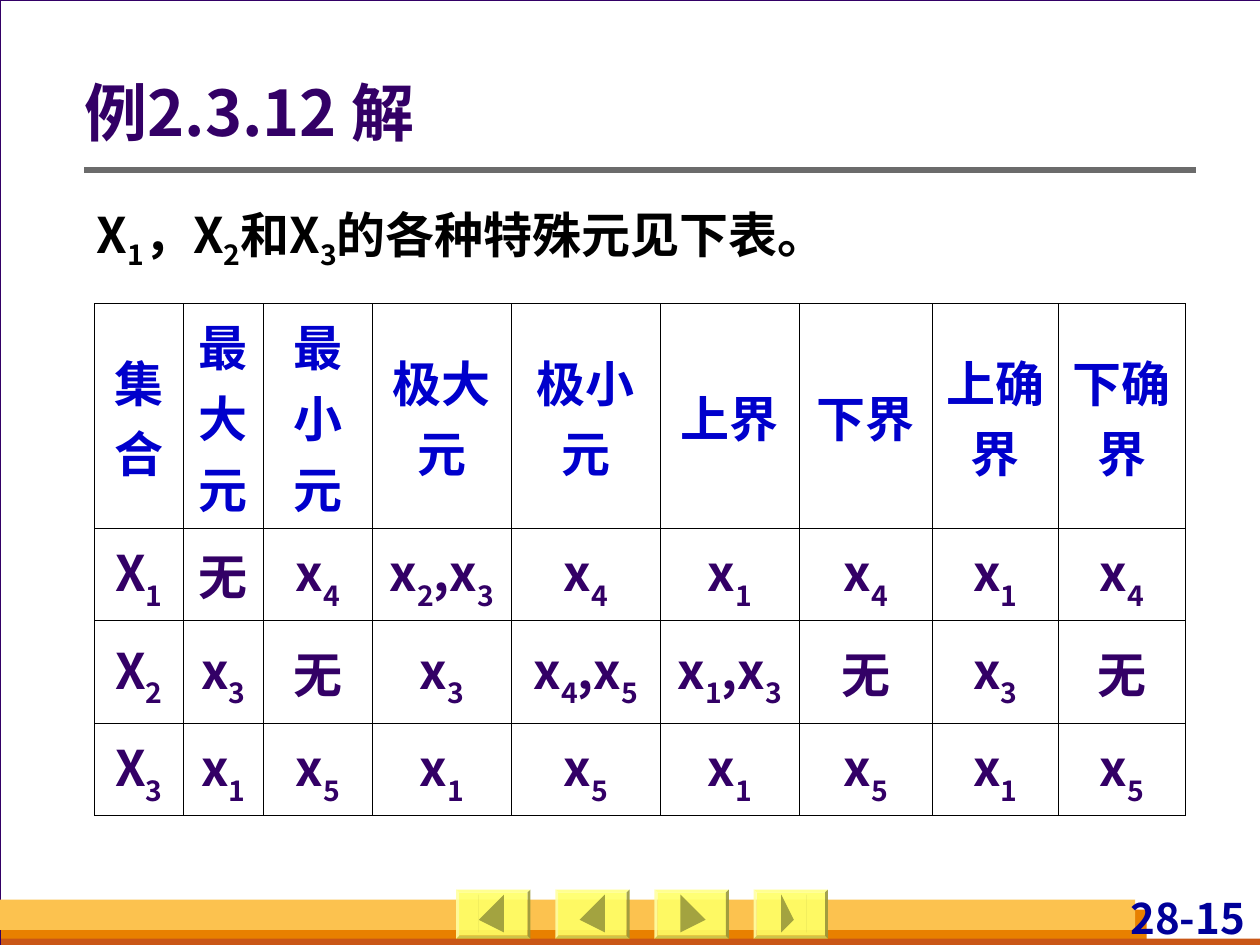
"""Build the slide of special elements for example 2.3.12."""
import itertools
import pptx
import pptx.util
import pptx.dml.color
import pptx.enum.shapes
import pptx.enum.text
import pptx.oxml
import pptx.oxml.ns

RGB = pptx.dml.color.RGBColor
WHITE, GREY, SILVER = RGB(255, 255, 255), RGB(0x6B, 0x6B, 0x6B), RGB(0xD8, 0xDA, 0xDA)
BLACK, PURPLE = RGB(0, 0, 0), RGB(0x33, 0, 0x66)
NAVY, BLUE = RGB(0, 0, 0x99), RGB(0, 0, 0xCC)
GOLD, ORANGE, RUST = RGB(0xFC, 0xC2, 0x4F), RGB(0xE8, 0x80, 0), RGB(0xC9, 0x56, 0x16)
YELLOW, OLIVE = RGB(0xFF, 0xFF, 0x66), RGB(0xA3, 0xA3, 0x40)
FONT = "Noto Sans CJK SC"
KIND = pptx.enum.shapes.MSO_SHAPE
ALIGN = pptx.enum.text.PP_ALIGN
MIDDLE = pptx.enum.text.MSO_ANCHOR.MIDDLE
GROW = pptx.enum.text.MSO_AUTO_SIZE.SHAPE_TO_FIT_TEXT

deck = pptx.Presentation()
deck.slide_width = pptx.util.Inches(10)
deck.slide_height = pptx.util.Inches(7.5)
UNIT = deck.slide_width / 100


def grid(*nums):
    """Turn hundredths of the slide width into lengths."""
    return [pptx.util.Emu(round(n * UNIT)) for n in nums]


def write(frame, text, look, para, base=0):
    """Fill the first paragraph, lowering its digits by base percent."""
    line = frame.paragraphs[0]
    for key, val in para.items():
        setattr(line, key, val)
    parts = itertools.groupby(text, str.isdigit) if base else [(False, text)]
    for low, chars in parts:
        run = line.add_run()
        run.text = "".join(chars)
        for key, val in {"name": FONT, "bold": True}.items() | look.items():
            if key == "color":
                run.font.color.rgb = val
            else:
                setattr(run.font, key, val)
        props = run._r.get_or_add_rPr()
        if low:
            props.set("baseline", str(-1000 * base))
        east = pptx.oxml.parse_xml(f'<a:ea {pptx.oxml.ns.nsdecls("a")} typeface="{FONT}"/>')
        props.find(pptx.oxml.ns.qn("a:latin")).addnext(east)


slide = deck.slides.add_slide(deck.slide_layouts[5])
shapes = slide.shapes
slide.background.fill.solid()
slide.background.fill.fore_color.rgb = SILVER

bands = [
    (WHITE, 0, 0, 100.1, 75),
    (ORANGE, 0.1, 72.2, 90.9, 2.8),
    (RUST, 0.1, 74.5, 100, 0.8),
    (GOLD, 0, 71.4, 90.1, 2.4),
]
for color, *place in bands:
    band = shapes.add_shape(KIND.RECTANGLE, *grid(*place))
    band.shadow.inherit = False
    band.fill.solid()
    band.fill.fore_color.rgb = color
    if color == WHITE:
        band.line.color.rgb = PURPLE
        band.line.width = pptx.util.Pt(0.75)
    else:
        band.line.fill.background()

page = shapes.add_textbox(*grid(84.7, 70.8, 14.5, 4.6)).text_frame
insets = {"margin_left": 0.04, "margin_right": 0.04, "margin_top": 0, "margin_bottom": 0}
for key, val in insets.items():
    setattr(page, key, pptx.util.Inches(val))
page.word_wrap = True
page.auto_size = GROW
write(page, "28-15", {"size": pptx.util.Pt(24), "color": NAVY}, {"alignment": ALIGN.RIGHT})

rule = shapes.add_connector(pptx.enum.shapes.MSO_CONNECTOR.STRAIGHT, *grid(6.7, 13.5, 94.9, 13.5))
rule.line.color.rgb = GREY
rule.line.width = pptx.util.Pt(3)
rule._element.spPr.append(pptx.oxml.parse_xml(f'<a:effectLst {pptx.oxml.ns.nsdecls("a")}/>'))

signs = [(2.3, 4.2, 1.7), (1.7, 4.2, None), (4.2, 1.6, None), (3.6, 1.7, 4)]
for col, (tip, back, bar) in enumerate(signs):
    left, top = 36.2 + 7.87 * col, 70.6
    key = shapes.add_shape(KIND.BEVEL, *grid(left, top, 5.9, 3.9))
    key.adjustments[0] = 0.06
    mark = shapes.build_freeform(left + tip, top + 1.95, scale=UNIT)
    mark.add_line_segments([(left + back, top + 0.65), (left + back, top + 3.25)])
    if bar:
        mark.move_to(left + bar, top + 0.65)
        mark.add_line_segments([(left + bar + 0.3, top + 0.65),
                                (left + bar + 0.3, top + 3.25), (left + bar, top + 3.25)])
    for part, color in ((key, YELLOW), (mark.convert_to_shape(), OLIVE)):
        part.shadow.inherit = False
        part.fill.solid()
        part.fill.fore_color.rgb = color
        part.line.fill.background()
    tint = key._element.spPr.find(".//" + pptx.oxml.ns.qn("a:srgbClr"))
    tint.append(pptx.oxml.parse_xml(f'<a:alpha {pptx.oxml.ns.nsdecls("a")} val="90000"/>'))

title = shapes.title
shapes._spTree.append(title._element)
title.left, title.top, title.width, title.height = grid(6.7, 6, 88.2, 6.4)
for key, val in {"margin_left": 0, "vertical_anchor": MIDDLE, "auto_size": GROW}.items():
    setattr(title.text_frame, key, val)
write(title.text_frame, "例2.3.12 解", {"size": pptx.util.Pt(36), "color": PURPLE},
      {"alignment": ALIGN.LEFT, "line_spacing": 0.9})

body = shapes.add_textbox(*grid(6.7, 14.7, 88.2, 7.4)).text_frame
body.word_wrap = True
write(body, "X1，X2和X3的各种特殊元见下表。", {"size": pptx.util.Pt(28), "color": BLACK},
      {"alignment": ALIGN.JUSTIFY, "line_spacing": 1.2}, 25)

rows = [
    "集合 最大元 最小元 极大元 极小元 上界 下界 上确界 下确界",
    "X1 无 x4 x2,x3 x4 x1 x4 x1 x4",
    "X2 x3 无 x3 x4,x5 x1,x3 无 x3 无",
    "X3 x1 x5 x1 x5 x1 x5 x1 x5",
]
wide = [7.05, 6.35, 8.65, 11.05, 11.8, 11.05, 10.55, 10, 10.1]
high = [17.85, 7.3, 8.2, 7.3]
table = shapes.add_table(len(high), len(wide), *grid(7.5, 24.1, sum(wide), sum(high))).table
for col, size in zip(table.columns, grid(*wide)):
    col.width = size
for row, size in zip(table.rows, grid(*high)):
    row.height = size
for r, words in enumerate(rows):
    for c, word in enumerate(words.split()):
        cell = table.cell(r, c)
        cell.vertical_anchor = MIDDLE
        for side in "LRTB":
            cell._tc.get_or_add_tcPr().append(pptx.oxml.parse_xml(
                f'<a:ln{side} {pptx.oxml.ns.nsdecls("a")} w="5715"><a:solidFill>'
                f'<a:srgbClr val="{BLACK}"/></a:solidFill></a:ln{side}>'))
        cell.fill.background()
        look = {"size": pptx.util.Pt(28), "color": PURPLE if r else BLUE}
        write(cell.text_frame, word, look, {"alignment": ALIGN.CENTER}, 30)

deck.save("out.pptx")
